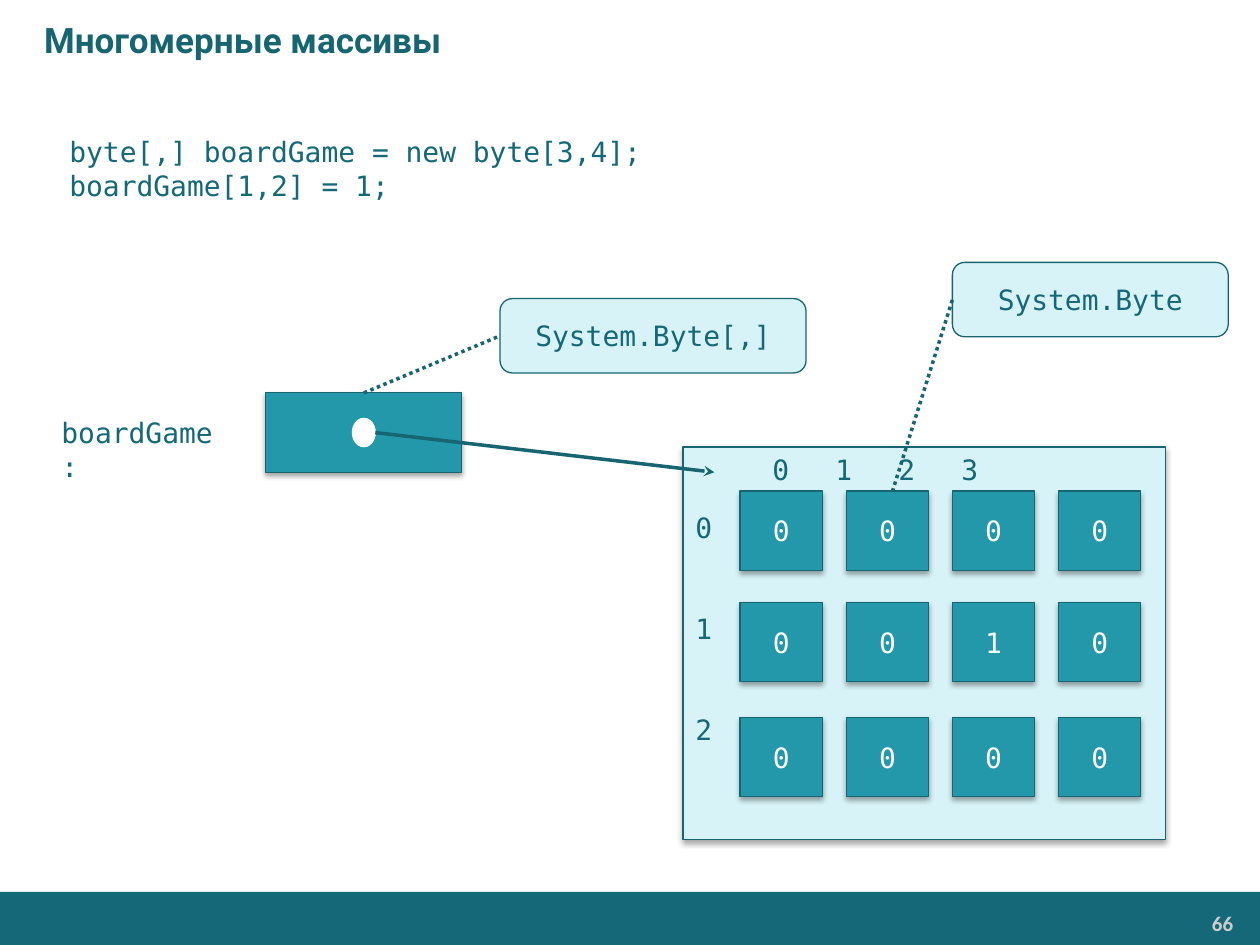
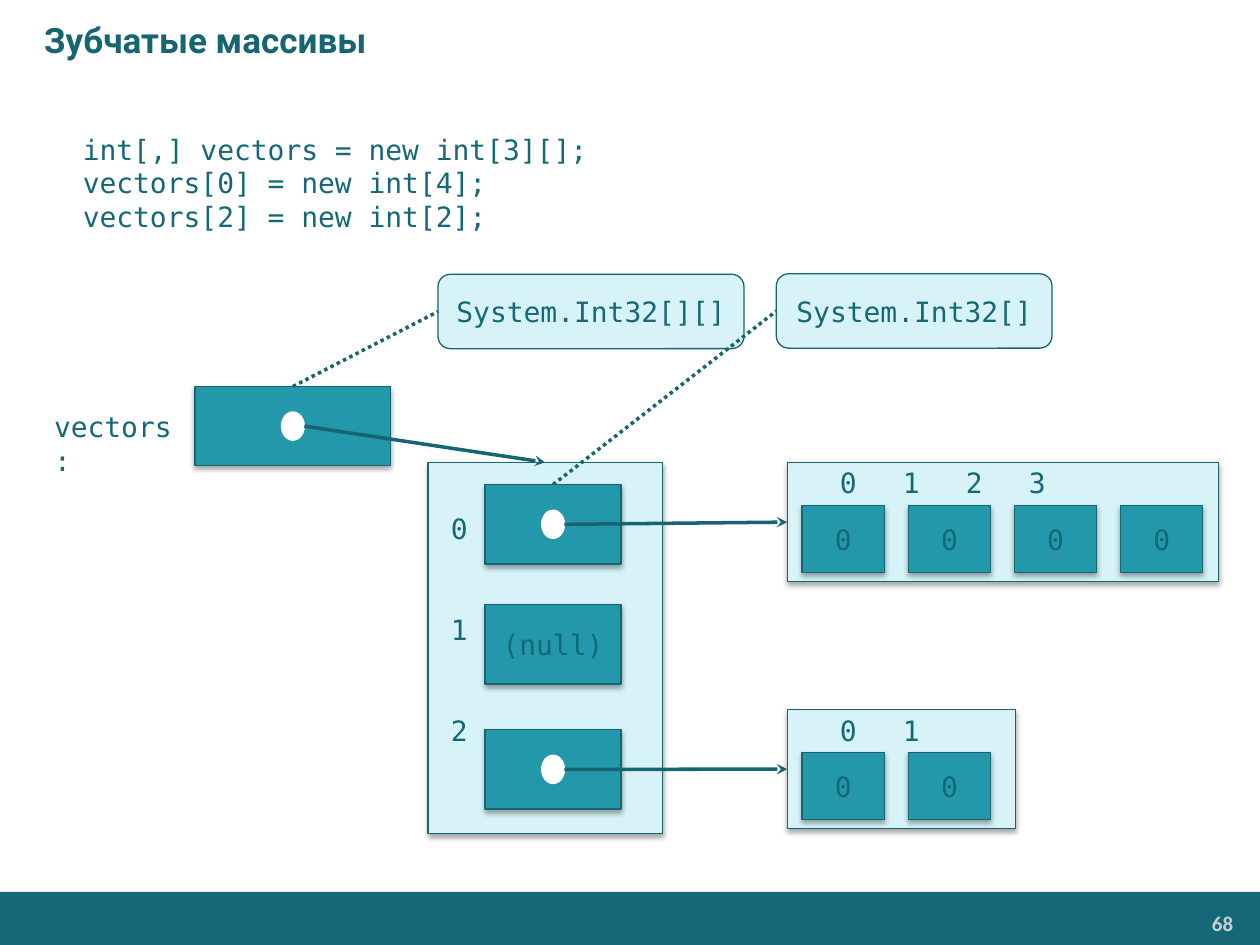
from dataclasses import dataclass

from lxml import etree
from pptx import Presentation
from pptx.dml.color import RGBColor
from pptx.enum.dml import MSO_LINE
from pptx.enum.shapes import MSO_CONNECTOR, MSO_SHAPE
from pptx.enum.text import MSO_ANCHOR, PP_ALIGN
from pptx.oxml.ns import qn
from pptx.slide import Slide
from pptx.text.text import TextFrame
from pptx.util import Cm, Pt

RECT = MSO_SHAPE.RECTANGLE
ROUNDED = MSO_SHAPE.ROUNDED_RECTANGLE
ELLIPSE = MSO_SHAPE.OVAL
DOCUMENT = MSO_SHAPE.FLOWCHART_DOCUMENT
STRAIGHT = MSO_CONNECTOR.STRAIGHT
DOTTED = MSO_LINE.ROUND_DOT
MIDDLE = MSO_ANCHOR.MIDDLE
TOP = MSO_ANCHOR.TOP
LEFT = PP_ALIGN.LEFT
CENTER = PP_ALIGN.CENTER
RIGHT = PP_ALIGN.RIGHT

BAND = RGBColor(0x14, 0x68, 0x78)
OUTLINE = RGBColor(0x17, 0x65, 0x71)
CELL = RGBColor(0x22, 0x98, 0xAA)
PANEL = RGBColor(0xD7, 0xF3, 0xF7)
WHITE = RGBColor(0xFF, 0xFF, 0xFF)
NUMBER_GREY = RGBColor(0xCC, 0xCC, 0xCC)

CODE_FONT = {"name": "DejaVu Sans Mono", "size": Pt(16), "bold": False}
TITLE_FONT = {"name": "Roboto", "size": Pt(20), "bold": True}
NUMBER_FONT = {"name": "Calibri", "size": Pt(12), "bold": True}
NUMBER_MARGINS = {
    "margin_left": Cm(0.18),
    "margin_right": Cm(0.18),
    "margin_top": Cm(0.1),
    "margin_bottom": Cm(0.1),
}

SLIDE_WIDTH, SLIDE_HEIGHT = 25.4, 19.05
COLUMN_PITCH = 2.14
INDEX_PITCH = 2.04
INDEX_ROW_GAP = Pt(38.5)
CELL_WIDTH, CELL_HEIGHT = 1.66, 1.6
DOT_WIDTH, DOT_HEIGHT = 0.46, 0.57

Point = tuple[float, float]


@dataclass(frozen=True)
class Area:
    left: float
    top: float
    width: float
    height: float

    @property
    def center(self) -> Point:
        return self.left + self.width / 2, self.top + self.height / 2

    @property
    def top_center(self) -> Point:
        return self.center[0], self.top

    @property
    def left_middle(self) -> Point:
        return self.left, self.center[1]

    @property
    def right_middle(self) -> Point:
        return self.left + self.width, self.center[1]

    def lengths(self) -> tuple[Cm, Cm, Cm, Cm]:
        return Cm(self.left), Cm(self.top), Cm(self.width), Cm(self.height)


@dataclass(frozen=True)
class TextStyle:
    font: dict
    ink: RGBColor
    align: PP_ALIGN = LEFT
    anchor: MSO_ANCHOR = TOP
    indent: float = 0
    gap: Pt = Pt(0)
    tab: float = 0


@dataclass(frozen=True)
class ShapeStyle:
    form: MSO_SHAPE
    fill: RGBColor | None = None
    outline: RGBColor | None = None
    shadow: bool = False


TITLE = TextStyle(TITLE_FONT, OUTLINE, anchor=MIDDLE, indent=0.64)
NUMBER = TextStyle(NUMBER_FONT, NUMBER_GREY, RIGHT)
CODE = TextStyle(CODE_FONT, BAND, indent=0.51)
CODE_MIDDLE = TextStyle(CODE_FONT, BAND, anchor=MIDDLE, indent=0.51)
VARIABLE = TextStyle(CODE_FONT, BAND)
LIGHT_VALUE = TextStyle(CODE_FONT, WHITE, CENTER, MIDDLE)
DARK_VALUE = TextStyle(CODE_FONT, BAND, CENTER, MIDDLE)
COLUMN_INDEX = TextStyle(CODE_FONT, BAND, tab=INDEX_PITCH)
ROW_INDEX = TextStyle(CODE_FONT, BAND, gap=INDEX_ROW_GAP)

FOOTER = ShapeStyle(RECT, BAND)
CODE_FRAME = ShapeStyle(DOCUMENT)
TYPE_NOTE = ShapeStyle(ROUNDED, PANEL, OUTLINE)
ARRAY_PANEL = ShapeStyle(RECT, PANEL, OUTLINE, shadow=True)
ARRAY_CELL = ShapeStyle(RECT, CELL, OUTLINE, shadow=True)
REFERENCE_DOT = ShapeStyle(ELLIPSE, WHITE, WHITE)


def apply(target: object, values: dict) -> None:
    for name, value in values.items():
        setattr(target, name, value)


def write(frame: TextFrame, lines: list[str], style: TextStyle) -> None:
    apply(frame, {"word_wrap": True, "vertical_anchor": style.anchor})
    for number, line in enumerate(lines):
        paragraph = frame.add_paragraph() if number else frame.paragraphs[0]
        paragraph.alignment = style.align
        if number and style.gap:
            paragraph.space_before = style.gap
        properties = paragraph._p.get_or_add_pPr()
        properties.set("marL", str(Cm(style.indent)))
        properties.set("indent", "0")
        if style.tab:
            tabs = etree.SubElement(properties, qn("a:tabLst"))
            for stop in range(1, line.count("\t") + 1):
                position = str(Cm(style.tab * stop))
                etree.SubElement(tabs, qn("a:tab"), pos=position, algn="l")
        run = paragraph.add_run()
        run.text = line
        apply(run.font, style.font)
        run.font.color.rgb = style.ink


def add_text(slide: Slide, area: Area, lines: list[str], style: TextStyle) -> TextFrame:
    frame = slide.shapes.add_textbox(*area.lengths()).text_frame
    write(frame, lines, style)
    return frame


def add_box(slide: Slide, area: Area, look: ShapeStyle,
            lines: list[str] | None = None, style: TextStyle = DARK_VALUE) -> Area:
    box = slide.shapes.add_shape(look.form, *area.lengths())
    box.shadow.inherit = False
    if look.fill is None:
        box.fill.background()
    else:
        box.fill.solid()
        box.fill.fore_color.rgb = look.fill
    if look.outline is None:
        box.line.fill.background()
    else:
        box.line.color.rgb = look.outline
        box.line.width = Pt(0.75)
    if look.shadow:
        effects = box._element.spPr.find(qn("a:effectLst"))
        cast = etree.SubElement(effects, qn("a:outerShdw"), blurRad=str(Pt(3.1)),
                                dist=str(Pt(1.8)), dir="5400000", rotWithShape="0")
        black = etree.SubElement(cast, qn("a:srgbClr"), val="000000")
        etree.SubElement(black, qn("a:alpha"), val="35000")
    if lines:
        write(box.text_frame, lines, style)
    return area


def add_link(slide: Slide, start: Point, end: Point, arrow: bool) -> None:
    ends = [Cm(value) for value in (*start, *end)]
    link = slide.shapes.add_connector(STRAIGHT, *ends)
    link.line.color.rgb = OUTLINE
    link.line.width = Pt(2)
    properties = link._element.spPr
    if arrow:
        etree.SubElement(properties.find(qn("a:ln")), qn("a:tailEnd"), type="stealth")
    else:
        link.line.dash_style = DOTTED
    etree.SubElement(properties, qn("a:effectLst"))


def add_reference(slide: Slide, area: Area) -> Point:
    add_box(slide, area, ARRAY_CELL)
    x, y = area.center
    dot = Area(x - DOT_WIDTH / 2, y - DOT_HEIGHT / 2, DOT_WIDTH, DOT_HEIGHT)
    return add_box(slide, dot, REFERENCE_DOT).right_middle


def add_cells(slide: Slide, left: float, top: float, height: float,
              values: str, style: TextStyle) -> None:
    for column, value in enumerate(values):
        area = Area(left + column * COLUMN_PITCH, top, CELL_WIDTH, height)
        add_box(slide, area, ARRAY_CELL, [value], style)


def add_column_indices(slide: Slide, left: float, top: float, count: int) -> None:
    header = "\t".join(str(index) for index in range(count))
    add_text(slide, Area(left, top, count * INDEX_PITCH, 0.94), [header], COLUMN_INDEX)


def add_row_indices(slide: Slide, left: float, top: float) -> None:
    add_text(slide, Area(left, top, 0.84, 5.05), ["0", "1", "2"], ROW_INDEX)


def add_vector(slide: Slide, panel: Area, values: str) -> Point:
    add_box(slide, panel, ARRAY_PANEL)
    add_column_indices(slide, panel.left + 0.81, panel.top - 0.05, len(values))
    add_cells(slide, panel.left + 0.3, panel.top + 0.87, 1.35, values, DARK_VALUE)
    return panel.left_middle


def start_slide(deck: Presentation, title: str, number: str) -> Slide:
    slide = deck.slides.add_slide(deck.slide_layouts[6])
    add_box(slide, Area(0, 17.98, SLIDE_WIDTH, 1.07), FOOTER)
    page = add_text(slide, Area(20.9, 18.26, 4.14, 0.71), [number], NUMBER)
    apply(page, NUMBER_MARGINS)
    add_text(slide, Area(0, 0, SLIDE_WIDTH, 1.6), [title], TITLE)
    return slide


def build_multidimensional(deck: Presentation) -> None:
    slide = start_slide(deck, "Многомерные массивы", "66")
    add_box(slide, Area(0.64, 2.18, 24.13, 3.02), CODE_FRAME,
            ["byte[,] boardGame = new byte[3,4];", "boardGame[1,2] = 1;"], CODE_MIDDLE)
    add_text(slide, Area(0.99, 8.26, 3.94, 0.94), ["boardGame :"], VARIABLE)

    array_type = add_box(slide, Area(10.08, 6.02, 6.17, 1.5), TYPE_NOTE, ["System.Byte[,]"])
    variable = Area(5.36, 7.92, 3.95, 1.6)
    dot_edge = add_reference(slide, variable)
    add_link(slide, variable.top_center, array_type.left_middle, arrow=False)

    board = add_box(slide, Area(13.77, 9.01, 9.73, 7.92), ARRAY_PANEL)
    add_link(slide, dot_edge, (14.4, 9.52), arrow=True)
    element_type = add_box(slide, Area(19.2, 5.29, 5.56, 1.5), TYPE_NOTE, ["System.Byte"])
    add_link(slide, (17.99, 9.91), element_type.left_middle, arrow=False)

    for top, values in zip((9.9, 12.14, 14.46), ("0000", "0010", "0000")):
        add_cells(slide, board.left + 1.15, top, CELL_HEIGHT, values, LIGHT_VALUE)
    add_column_indices(slide, 15.32, 8.99, 4)
    add_row_indices(slide, board.left, 10.16)


def build_jagged(deck: Presentation) -> None:
    slide = start_slide(deck, "Зубчатые массивы", "68")
    add_text(slide, Area(0.84, 8.13, 3, 0.94), ["vectors:"], VARIABLE)

    outer_type = add_box(slide, Area(8.83, 5.53, 6.17, 1.5), TYPE_NOTE, ["System.Int32[][]"])
    variable = Area(3.93, 7.79, 3.95, 1.6)
    dot_edge = add_reference(slide, variable)
    add_link(slide, variable.top_center, outer_type.left_middle, arrow=False)

    outer = add_box(slide, Area(8.63, 9.32, 4.72, 7.49), ARRAY_PANEL)
    add_link(slide, dot_edge, outer.top_center, arrow=True)
    inner_type = add_box(slide, Area(15.65, 5.52, 5.56, 1.5), TYPE_NOTE, ["System.Int32[]"])
    first, empty, last = [Area(9.78, top, 2.74, 1.6) for top in (9.77, 12.19, 14.71)]
    add_link(slide, first.top_center, inner_type.left_middle, arrow=False)
    add_row_indices(slide, 8.84, 10.19)
    add_box(slide, empty, ARRAY_CELL, ["(null)"])

    vectors = (
        (first, Area(15.87, 9.32, 8.69, 2.41), "0000"),
        (last, Area(15.87, 14.3, 4.6, 2.41), "00"),
    )
    for reference, panel, values in vectors:
        start = add_reference(slide, reference)
        add_link(slide, start, add_vector(slide, panel, values), arrow=True)

    add_text(slide, Area(0.91, 2.54, 12.7, 2.39),
             ["int[,] vectors = new int[3][];", "vectors[0] = new int[4];",
              "vectors[2] = new int[2];"], CODE)


def main() -> None:
    deck = Presentation()
    apply(deck, {"slide_width": Cm(SLIDE_WIDTH), "slide_height": Cm(SLIDE_HEIGHT)})
    build_multidimensional(deck)
    build_jagged(deck)
    deck.save("out.pptx")


if __name__ == "__main__":
    main()
